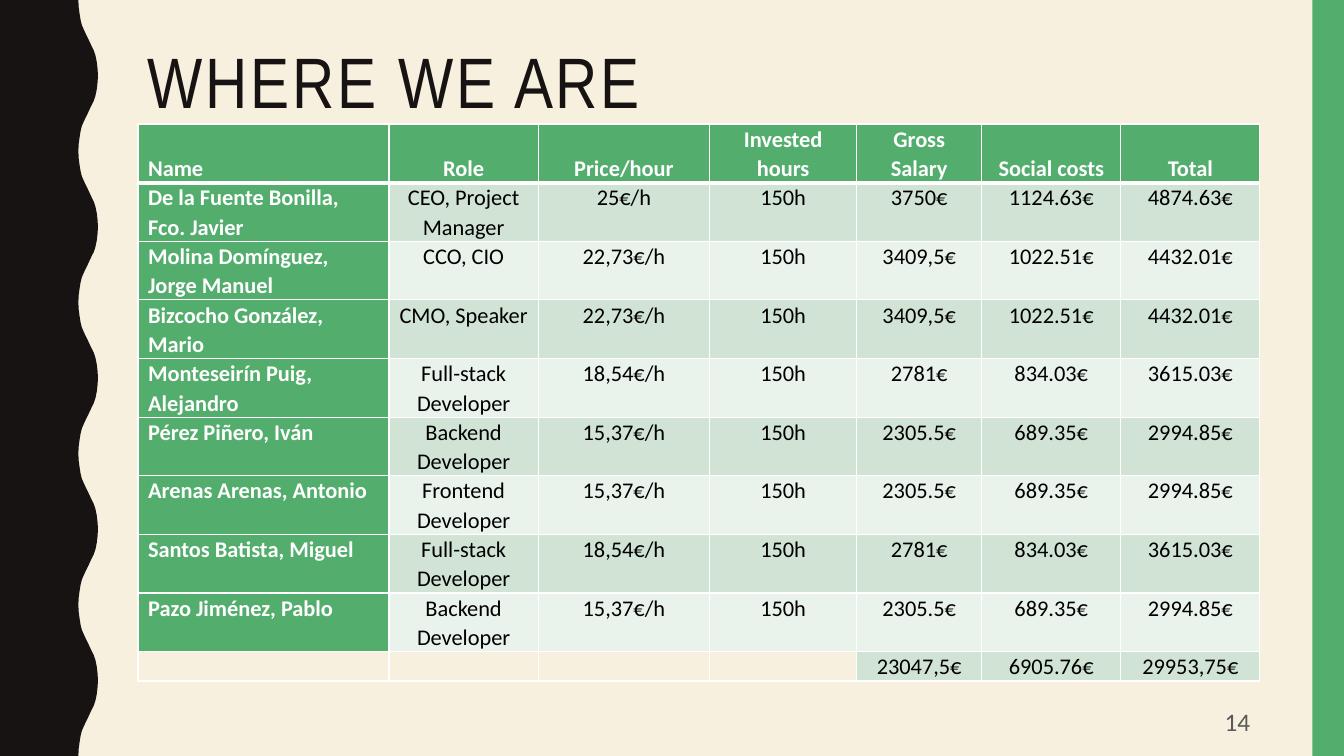
from pptx import Presentation
from pptx.dml.color import RGBColor as RGB
from pptx.enum.shapes import MSO_SHAPE as SHAPE
from pptx.enum.text import MSO_ANCHOR as ANCHOR, PP_ALIGN as ALIGN
from pptx.oxml.ns import qn
from pptx.util import Pt
from lxml.etree import SubElement as add_sub

HUES = {"cream": "F7F0DF", "ink": "171312", "green": "53AE6E", "dark": "D1E3D5",
        "light": "E9F2EB", "white": "FFFFFF", "black": "000000", "grey": "595959"}

WAVE = [(56, 0), (56.2, 5), (56.9, 10), (57.6, 14.4), (58.5, 18), (59.8, 21),
        (61.2, 24), (62.7, 27), (64.1, 30), (65.5, 33), (67, 36), (68.2, 39.6),
        (69.1, 44), (69.7, 49), (70, 54)]

WIDTHS = [179.3, 106.6, 122.4, 105.1, 89.3, 99.4, 99.3]
ROWS = [
    ["Name", "Role", "Price/hour", "Invested hours", "Gross Salary", "Social costs", "Total"],
    ["De la Fuente Bonilla, Fco. Javier", "CEO, Project Manager", "25€/h", "150h",
     "3750€", "1124.63€", "4874.63€"],
    ["Molina Domínguez, Jorge Manuel", "CCO, CIO", "22,73€/h", "150h",
     "3409,5€", "1022.51€", "4432.01€"],
    ["Bizcocho González, Mario", "CMO, Speaker", "22,73€/h", "150h",
     "3409,5€", "1022.51€", "4432.01€"],
    ["Monteseirín Puig, Alejandro", "Full-stack Developer", "18,54€/h", "150h",
     "2781€", "834.03€", "3615.03€"],
    ["Pérez Piñero, Iván", "Backend Developer", "15,37€/h", "150h",
     "2305.5€", "689.35€", "2994.85€"],
    ["Arenas Arenas, Antonio", "Frontend Developer", "15,37€/h", "150h",
     "2305.5€", "689.35€", "2994.85€"],
    ["Santos Batista, Miguel", "Full-stack Developer", "18,54€/h", "150h",
     "2781€", "834.03€", "3615.03€"],
    ["Pazo Jiménez, Pablo", "Backend Developer", "15,37€/h", "150h",
     "2305.5€", "689.35€", "2994.85€"],
    ["", "", "", "", "23047,5€", "6905.76€", "29953,75€"],
]


def paint(fill, hue):
    """Give a fill a solid named colour."""
    fill.solid()
    fill.fore_color.rgb = RGB.from_string(HUES[hue])


def write(frame, text, size=16, face="Calibri", hue="black", bold=False,
          align=ALIGN.LEFT, lead=1.0, track=0):
    """Write one formatted paragraph into a text frame."""
    para = frame.paragraphs[0]
    para.alignment = align
    para.line_spacing = lead
    if not text:
        add_sub(para._p, qn("a:endParaRPr"), sz=str(size * 100))
        return
    run = para.add_run()
    run.text = text
    font = run.font
    font.size, font.name, font.bold = Pt(size), face, bold
    font.color.rgb = RGB.from_string(HUES[hue])
    if track:
        run._r.get_or_add_rPr().set("spc", str(track * 100))


def label(slide, box, text, anchor=ANCHOR.TOP, **form):
    """Place a wrapped text box."""
    frame = slide.shapes.add_textbox(*map(Pt, box)).text_frame
    frame.word_wrap = True
    frame.vertical_anchor = anchor
    write(frame, text, **form)


def draw_wave(slide, box):
    """Draw the dark strip with a wavy right edge."""
    left, top, width, height = box
    span = 2 * WAVE[-1][1]
    cycle = WAVE + [(x, span - y) for x, y in WAVE[-2:0:-1]]
    edge = [(x, y + span * turn) for turn in range(round(height / span)) for x, y in cycle]
    edge += [(WAVE[0][0], height), (0, height)]
    form = slide.shapes.build_freeform(0, 0, scale=1.0)
    form.add_line_segments([(Pt(x * width / 70), Pt(y)) for x, y in edge], close=True)
    strip = form.convert_to_shape(Pt(left), Pt(top))
    strip.shadow.inherit = False
    paint(strip.fill, "ink")
    strip.line.fill.background()


def draw_bar(slide, box):
    """Draw the green bar."""
    bar = slide.shapes.add_shape(SHAPE.RECTANGLE, *map(Pt, box))
    bar.shadow.inherit = False
    paint(bar.fill, "green")
    bar.line.fill.background()


def rule(cell, **sides):
    """Draw white cell borders of the given widths."""
    props = cell._tc.get_or_add_tcPr()
    for side in "LRTB":
        width = Pt(sides.get(side, 1))
        line = add_sub(props, qn("a:ln" + side), w=str(width))
        solid = add_sub(line, qn("a:solidFill"))
        add_sub(solid, qn("a:srgbClr"), val=HUES["white"])


def fill_cell(cell, text, row, col):
    """Style and fill one cell by its place in the table."""
    head = row == 0
    key = head or (col == 0 and text != "")
    cell.margin_left = cell.margin_right = Pt(7.2)
    cell.margin_top = cell.margin_bottom = 0
    cell.vertical_anchor = ANCHOR.BOTTOM if head else ANCHOR.TOP
    rule(cell, T=3 if row == 1 else 1, B=3 if head else 1)
    if text:
        paint(cell.fill, "green" if key else "dark" if row % 2 else "light")
        if row == len(ROWS) - 1:
            paint(cell.fill, "dark")
    else:
        cell.fill.background()
    write(cell.text_frame, text, hue="white" if key else "black", bold=key,
          align=ALIGN.CENTER if col else ALIGN.LEFT, lead=1.07)


def draw_costs(slide, box):
    """Build the table of staff costs."""
    size = len(ROWS), len(WIDTHS)
    table = slide.shapes.add_table(*size, *map(Pt, box)).table
    table.first_row = table.horz_banding = False
    for col, width in zip(table.columns, WIDTHS):
        col.width = Pt(width)
    last = 21
    for line in table.rows:
        line.height = Pt((box[3] - last) / (len(ROWS) - 1))
    table.rows[len(ROWS) - 1].height = Pt(last)
    for row, texts in enumerate(ROWS):
        for col, text in enumerate(texts):
            fill_cell(table.cell(row, col), text, row, col)


def main():
    """Build and save the slide."""
    deck = Presentation()
    deck.slide_width, deck.slide_height = Pt(960), Pt(540)
    slide = deck.slides.add_slide(deck.slide_layouts[6])
    paint(slide.background.fill, "cream")
    draw_wave(slide, (0, 0, 70, 540))
    draw_bar(slide, (937.5, 0, 22.5, 540))
    label(slide, (98.6, 30.2, 801.4, 117.4), "WHERE WE ARE", size=51,
          face="Arial Narrow", hue="ink", lead=0.9, track=2)
    label(slide, (678.2, 501.8, 221.8, 27.4), "14", anchor=ANCHOR.MIDDLE,
          size=18, hue="grey", align=ALIGN.RIGHT)
    draw_costs(slide, (98.6, 88.6, 801.4, 398))
    deck.save("out.pptx")


if __name__ == "__main__":
    main()
